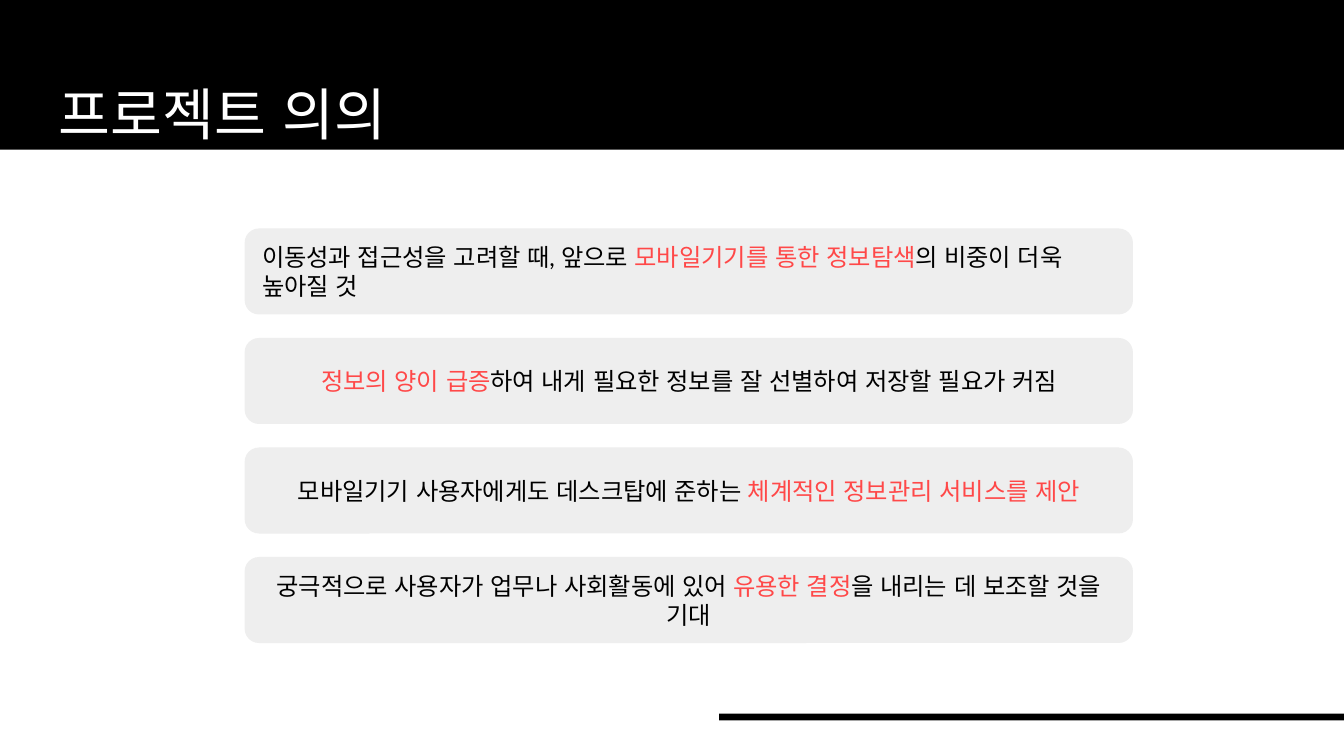
from pptx import Presentation
from pptx.dml.color import RGBColor
from pptx.enum.lang import MSO_LANGUAGE_ID
from pptx.enum.shapes import MSO_SHAPE
from pptx.enum.text import MSO_ANCHOR, PP_ALIGN
from pptx.util import Pt

PX = 4572  # 200 px to the inch
PAGE_WIDTH, PAGE_HEIGHT = 2000, 1125
BLACK = RGBColor(0x00, 0x00, 0x00)
WHITE = RGBColor(0xFF, 0xFF, 0xFF)
GRAY = RGBColor(0xEE, 0xEE, 0xEE)
RED = RGBColor(0xFF, 0x48, 0x48)

STATEMENTS = [
    (PP_ALIGN.LEFT, [("이동성과 접근성을 고려할 때, 앞으로 ", BLACK),
                     ("모바일기기를 통한 정보탐색", RED),
                     ("의 비중이 더욱 높아질 것", BLACK)]),
    (PP_ALIGN.CENTER, [("정보의 양이 급증", RED),
                       ("하여 내게 필요한 정보를 잘 선별하여 저장할 필요가 커짐", BLACK)]),
    (PP_ALIGN.CENTER, [("모바일기기 사용자에게도 데스크탑에 준하는 ", BLACK),
                       ("체계적인 정보관리 서비스를 제안", RED)]),
    (PP_ALIGN.CENTER, [("궁극적으로 사용자가 업무나 사회활동에 있어 ", BLACK),
                       ("유용한 결정", RED),
                       ("을 내리는 데 보조할 것을 기대", BLACK)]),
]


def scaled(*lengths):
    return [length * PX for length in lengths]


def add_panel(page, box, color, preset=MSO_SHAPE.RECTANGLE):
    panel = page.shapes.add_shape(preset, *scaled(*box))
    panel.shadow.inherit = False
    panel.fill.solid()
    panel.fill.fore_color.rgb = color
    panel.line.fill.background()
    return panel


def write_text(shape, parts, *, size, font, align=PP_ALIGN.LEFT,
               anchor=MSO_ANCHOR.TOP, inset=20):
    """Write one paragraph from (text, color) parts."""
    frame = shape.text_frame
    frame.word_wrap = True
    frame.vertical_anchor = anchor
    frame.margin_left = frame.margin_right = inset * PX
    frame.margin_top = frame.margin_bottom = inset * PX
    para = frame.paragraphs[0]
    para.alignment = align
    for text, color in parts:
        span = para.add_run()
        span.text = text
        span.font.size = Pt(size)
        span.font.name = font
        span.font.language_id = MSO_LANGUAGE_ID.KOREAN
        span.font.color.rgb = color


def add_header(page, box, title):
    left, top, width, height = box
    add_panel(page, box, BLACK)
    title_box = page.shapes.add_textbox(
        *scaled(left + 68, top + 98, width - 136, height - 98))
    write_text(title_box, [(title, WHITE)], size=30.2, font="Calibri")


def add_statements(page, box, statements, gap=35):
    """Stack equal rounded cards down the box."""
    left, top, width, height = box
    card_height = (height - gap * (len(statements) - 1)) // len(statements)
    for index, (align, parts) in enumerate(statements):
        card_top = top + index * (card_height + gap)
        card = add_panel(page, (left, card_top, width, card_height), GRAY,
                         MSO_SHAPE.ROUNDED_RECTANGLE)
        write_text(card, parts, size=13, font="Lato", align=align,
                   anchor=MSO_ANCHOR.MIDDLE)


def main():
    deck = Presentation()
    deck.slide_width, deck.slide_height = scaled(PAGE_WIDTH, PAGE_HEIGHT)
    page = deck.slides.add_slide(deck.slide_layouts[6])
    add_header(page, (0, 0, PAGE_WIDTH, 223), "프로젝트 의의")
    add_statements(page, (364, 340, 1322, 617), STATEMENTS)
    add_panel(page, (1070, 1062, PAGE_WIDTH - 1070, 10), BLACK)
    deck.save("out.pptx")


if __name__ == "__main__":
    main()
